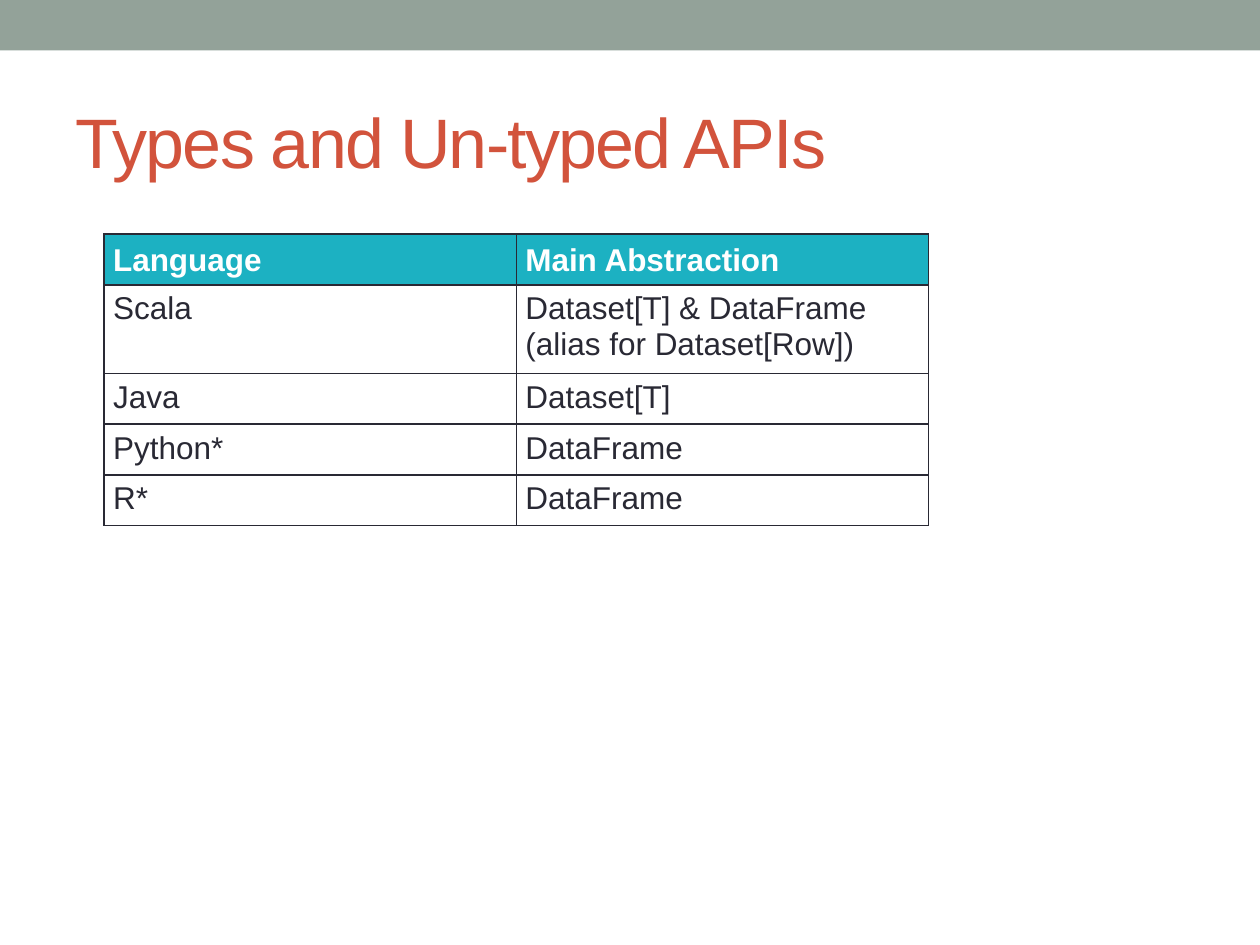
from lxml.etree import SubElement
from pptx import Presentation
from pptx.dml.color import RGBColor
from pptx.enum.shapes import MSO_SHAPE
from pptx.enum.text import MSO_ANCHOR
from pptx.oxml.ns import qn
from pptx.util import Cm, Pt

SAGE = RGBColor(0x93, 0xA2, 0x99)
RUST = RGBColor(0xD2, 0x53, 0x3C)
TEAL = RGBColor(0x1C, 0xB1, 0xC2)
INK = RGBColor(0x29, 0x29, 0x34)
WHITE = RGBColor(0xFF, 0xFF, 0xFF)

ROWS = [
    ("Language", "Main Abstraction"),
    ("Scala", "Dataset[T] & DataFrame (alias for Dataset[Row])"),
    ("Java", "Dataset[T]"),
    ("Python*", "DataFrame"),
    ("R*", "DataFrame"),
]
ROW_HEIGHTS = [0.97, 1.67, 0.97, 0.97, 0.97]
COLUMN_WIDTH = 8.31


def set_font(font, color, **values):
    font.color.rgb = color
    for name, value in {"name": "Arial", **values}.items():
        setattr(font, name, value)


def add_borders(cell, color):
    properties = cell._tc.get_or_add_tcPr()
    for side in ("lnL", "lnR", "lnT", "lnB"):
        line = SubElement(properties, qn(f"a:{side}"), w=str(Pt(1)))
        fill = SubElement(line, qn("a:solidFill"))
        SubElement(fill, qn("a:srgbClr"), val=str(color))


presentation = Presentation()
presentation.slide_width, presentation.slide_height = Cm(25.4), Cm(19.05)
slide = presentation.slides.add_slide(presentation.slide_layouts[6])

band = slide.shapes.add_shape(MSO_SHAPE.RECTANGLE, 0, 0, Cm(25.4), Cm(1.02))
band.shadow.inherit = False
band.fill.solid()
band.fill.fore_color.rgb = SAGE
band.line.fill.background()

title = slide.shapes.add_textbox(Cm(1.27), Cm(1.47), Cm(22.86), Cm(2.74))
title.text_frame.word_wrap = True
title.text_frame.vertical_anchor = MSO_ANCHOR.MIDDLE
title_run = title.text_frame.paragraphs[0].add_run()
title_run.text = "Types and Un-typed APIs"
set_font(title_run.font, RUST, size=Pt(40))
title_run.font._element.set("spc", "-100")

table = slide.shapes.add_table(
    len(ROWS), 2, Cm(2.1), Cm(4.72), Cm(2 * COLUMN_WIDTH), Cm(sum(ROW_HEIGHTS))
).table
for column in table.columns:
    column.width = Cm(COLUMN_WIDTH)

cell_format = {
    "margin_left": Cm(0.18),
    "margin_right": Cm(0.18),
    "margin_top": Cm(0.13),
    "margin_bottom": Cm(0.13),
}
for row_index, (texts, height) in enumerate(zip(ROWS, ROW_HEIGHTS)):
    is_header = row_index == 0
    table.rows[row_index].height = Cm(height)
    for column_index, text in enumerate(texts):
        cell = table.cell(row_index, column_index)
        for name, value in cell_format.items():
            setattr(cell, name, value)
        cell.vertical_anchor = MSO_ANCHOR.BOTTOM if is_header else MSO_ANCHOR.TOP
        add_borders(cell, INK)
        cell.fill.solid()
        cell.fill.fore_color.rgb = TEAL if is_header else WHITE
        run = cell.text_frame.paragraphs[0].add_run()
        run.text = text
        set_font(run.font, WHITE if is_header else INK, size=Pt(18), bold=is_header)

presentation.save("out.pptx")
